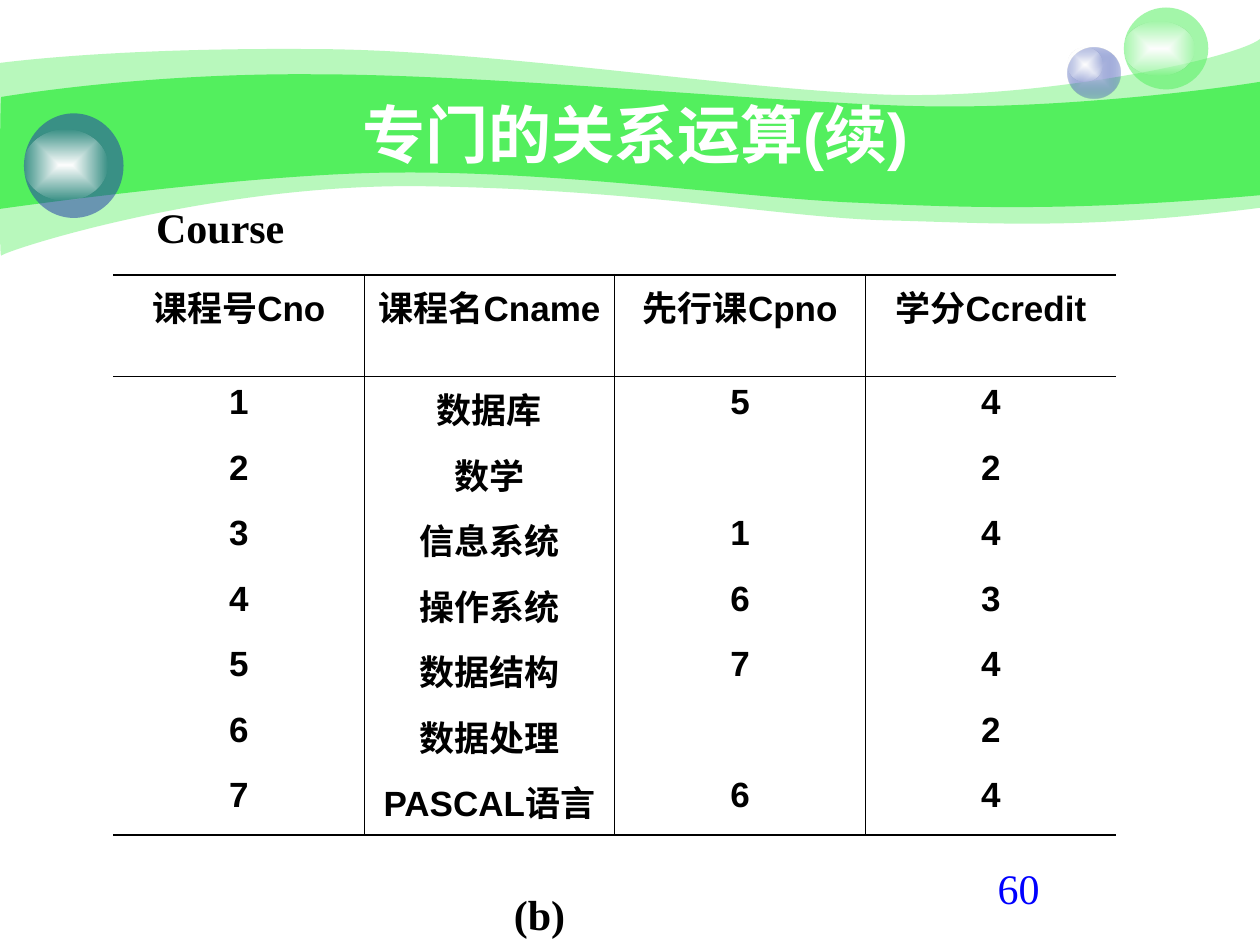
from pptx import Presentation
from pptx import util as u
from pptx.dml.color import RGBColor
from pptx.enum import shapes, text
from pptx.oxml import parse_xml
from pptx.oxml.ns import nsdecls, qn

GREEN, BLUE, WHITE, BLACK = "53EF5E", "233DA9", "FFFFFF", "000000"


def set_font(p, name, size, color, bold=True):
    f = p.font
    f.name, f.size, f.bold = name, u.Pt(size), bold
    f.color.rgb = RGBColor.from_string(color)


def paint(sp, *stops):
    """Fill with one (colour, opacity %) or a gradient from centre to edge."""
    clr = [f'<a:srgbClr val="{c}"><a:alpha val="{a * 1000}"/></a:srgbClr>' if a < 100
           else f'<a:srgbClr val="{c}"/>' for c, a in stops]
    if len(clr) == 1:
        xml = f'<a:solidFill {nsdecls("a")}>{clr[0]}</a:solidFill>'
    else:
        xml = (f'<a:gradFill {nsdecls("a")}><a:gsLst><a:gs pos="0">{clr[0]}</a:gs>'
               f'<a:gs pos="100000">{clr[1]}</a:gs></a:gsLst><a:path path="rect">'
               '<a:fillToRect l="50000" t="50000" r="50000" b="50000"/></a:path></a:gradFill>')
    sp.shadow.inherit = False
    sp.fill.background()
    spPr = sp._element.spPr
    spPr.replace(spPr.find(qn("a:noFill")), parse_xml(xml))
    sp.line.fill.background()


prs = Presentation()
prs.slide_width, prs.slide_height = u.Inches(10), u.Inches(7.5)
s = prs.slides.add_slide(prs.slide_layouts[6])

# Wavy bands: each curve is two control points and an end point, a pair is a straight line
bands = [
    (41, (0, 0.5), [
        (0.24, 0.47, 1.07, 0.38, 2.47, 0.39), (3.86, 0.39, 5.75, 0.7, 6.99, 0.75),
        (8.22, 0.8, 9.8, 0.47, 10, 0.31), (10, 1.65),
        (8.58, 1.83, 7.87, 1.77, 7.05, 1.75), (6.22, 1.73, 5.15, 1.51, 3.43, 1.48),
        (1.72, 1.44, 0.04, 1.99, 0.01, 2.03), (-0.01, 2.08, 0, 0.75, 0, 0.5)]),
    (100, (0.01, 0.77), [
        (0.02, 0.77, 1.1, 0.58, 2.48, 0.59), (3.86, 0.59, 5.95, 0.8, 7.18, 0.84),
        (8.41, 0.88, 9.76, 0.69, 10, 0.65), (10, 1.55),
        (8.53, 1.68, 7.65, 1.65, 6.82, 1.61), (5.99, 1.58, 4.47, 1.36, 3.17, 1.37),
        (2.03, 1.37, -0.02, 1.66, -0.01, 1.66), (0, 1.66, 0, 0.77, 0.01, 0.77)]),
]
for opacity, start, segments in bands:
    fb = s.shapes.build_freeform(*map(u.Inches, start))
    fb.add_line_segments([(u.Inches(seg[i]), u.Inches(seg[i + 1]))
                          for seg in segments for i in range(0, len(seg), 2)])
    sp = fb.convert_to_shape()
    # Join each three straight steps into one Bezier curve
    lines = iter(list(sp._element.iter(qn("a:lnTo"))))
    for seg in segments:
        step = next(lines)
        if len(seg) == 6:
            curve = parse_xml(f'<a:cubicBezTo {nsdecls("a")}/>')
            step.addprevious(curve)
            for part in (step, next(lines), next(lines)):
                curve.append(part[0])
                part.getparent().remove(part)
    paint(sp, (GREEN, opacity))

# Glass balls, each a group of a body and a highlight
balls = [
    ((8.47, 0.38, 0.42, 0.4), [("C7CEE9", 100), (BLUE, 31)], (8.47, 0.38, 0.28, 0.27)),
    ((8.92, 0.06, 0.67, 0.65), [(GREEN, 53)], (8.92, 0.17, 0.56, 0.43)),
    ((0.19, 0.9, 0.79, 0.83), [(BLUE, 53)], (0.19, 1.03, 0.66, 0.56)),
]
for body, stops, highlight in balls:
    grp = s.shapes.add_group_shape()
    for box, colors in ((body, stops), (highlight, [(WHITE, 100), (WHITE, 0)])):
        paint(grp.shapes.add_shape(shapes.MSO_SHAPE.OVAL, *map(u.Inches, box)), *colors)

# Title
tf = s.shapes.add_textbox(u.Inches(1), u.Inches(0.75), u.Inches(8.08), u.Inches(0.62)).text_frame
tf.word_wrap = True
tf.vertical_anchor = text.MSO_ANCHOR.MIDDLE
p = tf.paragraphs[0]
p.text = "专门的关系运算(续)"
p.alignment = text.PP_ALIGN.CENTER
set_font(p, "Arial", 36, WHITE)

# Course table
rows = [
    ("课程号Cno", "课程名Cname", "先行课Cpno", "学分Ccredit"),
    ("1", "数据库", "5", "4"),
    ("2", "数学", "", "2"),
    ("3", "信息系统", "1", "4"),
    ("4", "操作系统", "6", "3"),
    ("5", "数据结构", "7", "4"),
    ("6", "数据处理", "", "2"),
    ("7", "PASCAL语言", "6", "4"),
]
THICK, THIN = 1.08, 0.45
last_row, last_col = len(rows) - 1, len(rows[0]) - 1
tbl = s.shapes.add_table(len(rows), len(rows[0]), u.Inches(0.9), u.Inches(2.18),
                         u.Inches(7.96), u.Inches(4.45)).table
tbl.first_row = tbl.horz_banding = False
for col in tbl.columns:
    col.width = u.Inches(1.99)
for i, row in enumerate(rows):
    tbl.rows[i].height = u.Inches(0.52 if i else 0.81)
    for j, words in enumerate(row):
        cell = tbl.cell(i, j)
        cell.fill.background()
        p = cell.text_frame.paragraphs[0]
        if words:
            p.text = words
            p.alignment = text.PP_ALIGN.CENTER
            p.space_before = u.Pt(5)
            set_font(p, "Arial", 20, BLACK)
        # Rules: thick above and below the table, thin under the header and between columns
        edges = {
            "lnL": THIN if j > 0 else 0,
            "lnR": THIN if j < last_col else 0,
            "lnT": {0: THICK, 1: THIN}.get(i, 0),
            "lnB": {0: THIN, last_row: THICK}.get(i, 0),
        }
        for n, (tag, width) in enumerate(edges.items()):
            line = f'<a:solidFill><a:srgbClr val="{BLACK}"/></a:solidFill>' if width else "<a:noFill/>"
            cell._tc.get_or_add_tcPr().insert(n, parse_xml(
                f'<a:{tag} {nsdecls("a")} w="{u.Pt(width)}">{line}</a:{tag}>'))

# Table captions and page number
labels = [
    ("Course", (1.14, 1.55, 1.22, 0.5), BLACK, True),
    ("(b)", (3.98, 7, 0.61, 0.5), BLACK, True),
    ("60", (7.82, 6.8, 1.59, 0.5), "0000FF", False),
]
for words, box, color, bold in labels:
    tf = s.shapes.add_textbox(*map(u.Inches, box)).text_frame
    p = tf.paragraphs[0]
    p.text = words
    set_font(p, "Times New Roman", 24, color, bold)

prs.save("out.pptx")
